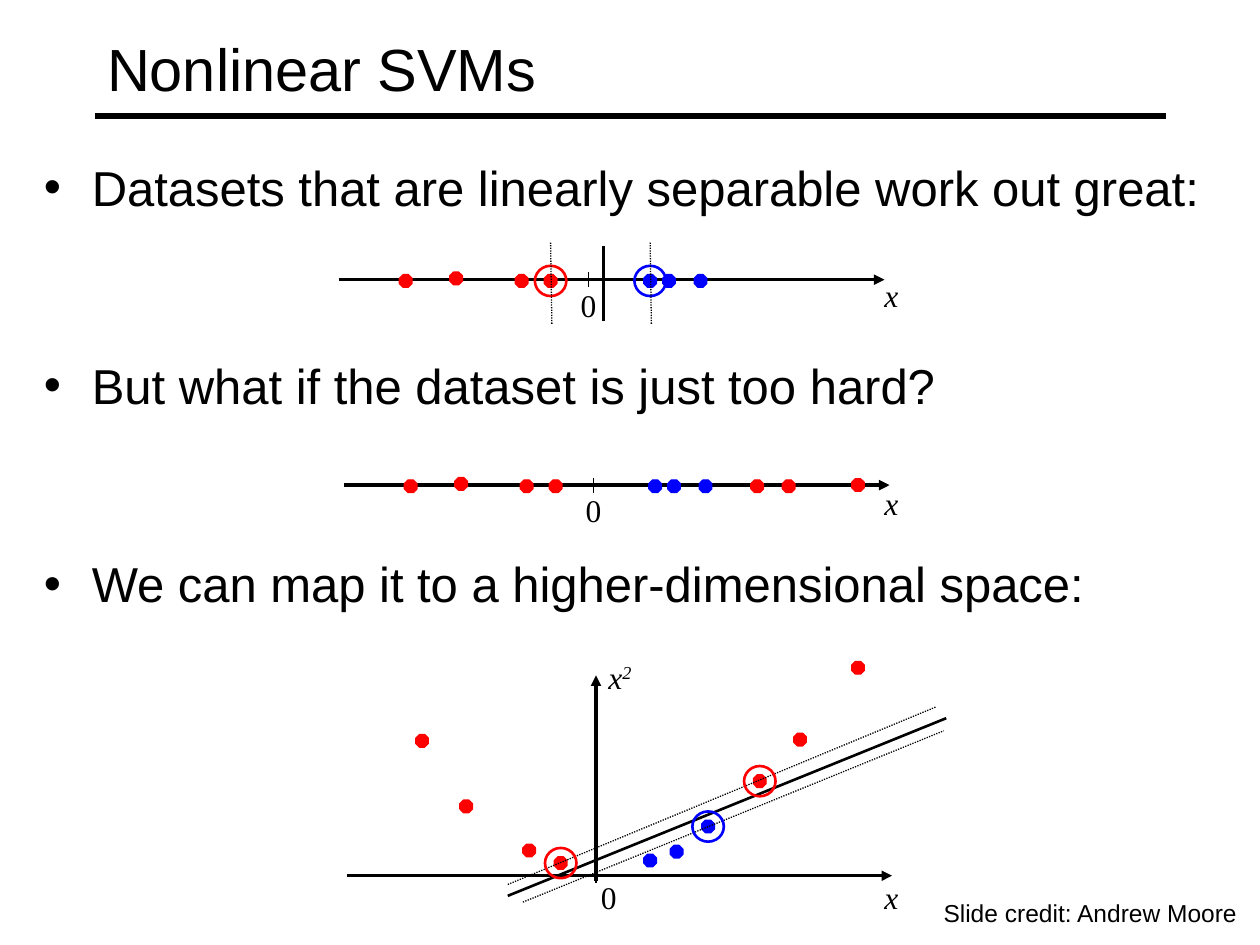
from lxml.etree import SubElement
from pptx import Presentation
from pptx.dml.color import RGBColor
from pptx.enum.dml import MSO_LINE
from pptx.enum.shapes import MSO_CONNECTOR, MSO_SHAPE
from pptx.enum.text import MSO_ANCHOR, PP_ALIGN
from pptx.oxml.ns import qn
from pptx.util import Inches, Pt

BLACK = RGBColor(0x00, 0x00, 0x00)
RED = RGBColor(0xFF, 0x00, 0x00)
BLUE = RGBColor(0x00, 0x00, 0xFF)

SLIDE_WIDTH, SLIDE_HEIGHT = Inches(10), Inches(7.5)
CELL = SLIDE_WIDTH / 100  # the slide is a grid of 100 columns by 75 rows

HEADING = dict(name="Arial", size=Pt(34))
BULLET = dict(name="Arial", size=Pt(28))
CREDIT = dict(name="Arial", size=Pt(14))
ORIGIN_LABEL = dict(name="Times New Roman", size=Pt(18))
AXIS_LABEL = dict(ORIGIN_LABEL, italic=True)

AXIS_LENGTH = 43.3
ORIGIN = 19.8  # columns from the start of an axis to its zero
DOT = 1
RING = (2.5, 2.4)

LEFT_REDS = [(5.3, -0.1), (9.3, 0.1), (14.5, -0.1), (16.8, -0.1)]
MIDDLE_BLUES = [(24.7, -0.1), (26.2, -0.1), (28.7, -0.1)]
RIGHT_REDS = [(32.8, -0.1), (35.3, -0.1), (40.8, 0)]
MAPPED_REDS = [(6, 10.7), (9.5, 5.5), (14.5, 2), (17, 1),
               (32.8, 7.5), (36, 10.8), (40.6, 16.5)]
MAPPED_BLUES = [(24.1, 1.2), (26.2, 1.9), (28.7, 3.9)]


def cells(*lengths):
    return [round(length * CELL) for length in lengths]


def set_font(font, formats):
    for attribute, value in formats.items():
        setattr(font, attribute, value)
    font.color.rgb = BLACK


def add_text(shapes, box, text, formats, wrap=True):
    frame = shapes.add_textbox(*cells(*box)).text_frame
    frame.word_wrap = wrap
    paragraph = frame.paragraphs[0]
    paragraph.text = text
    set_font(paragraph.font, formats)
    return paragraph


def add_line(shapes, start, end, width, dash=None, arrow=False):
    connector = shapes.add_connector(MSO_CONNECTOR.STRAIGHT, *cells(*start, *end))
    connector.line.width = Pt(width)
    connector.line.color.rgb = BLACK
    if dash:
        connector.line.dash_style = dash
    if arrow:
        SubElement(connector.line._get_or_add_ln(), qn("a:tailEnd"), type="triangle")
    SubElement(connector._element.spPr, qn("a:effectLst"))


class Plot:
    """A group whose points are (columns right, rows up) from its axis start."""

    def __init__(self, slide, left, base):
        self.shapes = slide.shapes.add_group_shape().shapes
        self.left, self.base = left, base
        self.line((0, 0), (AXIS_LENGTH, 0), 2, arrow=True)
        self.line((ORIGIN, 0.6), (ORIGIN, -0.6), 0.75)

    def place(self, point):
        return self.left + point[0], self.base - point[1]

    def line(self, start, end, width, **options):
        add_line(self.shapes, self.place(start), self.place(end), width, **options)

    def margin(self, start, end):
        self.line(start, end, 0.75, dash=MSO_LINE.ROUND_DOT)

    def marker(self, kind, point, size, color, line_width):
        x, y = self.place(point)
        width, height = size
        marker = self.shapes.add_shape(
            kind, *cells(x - width / 2, y - height / 2, width, height))
        marker.shadow.inherit = False
        marker.line.color.rgb = color
        marker.line.width = Pt(line_width)
        return marker

    def dots(self, points, color):
        for point in points:
            dot = self.marker(MSO_SHAPE.OCTAGON, point, (DOT, DOT), color, 0.75)
            dot.fill.solid()
            dot.fill.fore_color.rgb = color

    def support_vector(self, point, color):
        self.marker(MSO_SHAPE.OVAL, point, RING, color, 1.5).fill.background()

    def label(self, text, point, width, formats):
        return add_text(self.shapes, (*self.place(point), width, 4), text, formats)


def add_title(slide):
    title = slide.shapes.title
    title.left, title.top, title.width, title.height = cells(7.5, 0.8, 85, 9.2)
    title.text_frame.text = "Nonlinear SVMs"
    title.text_frame.vertical_anchor = MSO_ANCHOR.MIDDLE
    heading = title.text_frame.paragraphs[0]
    heading.alignment = PP_ALIGN.LEFT
    set_font(heading.font, HEADING)
    add_line(slide.shapes, (7.5, 9.2), (92.5, 9.2), 3)


def add_bullets(slide, box, points):
    frame = slide.shapes.add_textbox(*cells(*box)).text_frame
    frame.word_wrap = True
    frame.margin_top = Inches(0.08)
    for index, point in enumerate(points):
        paragraph = frame.add_paragraph() if index else frame.paragraphs[0]
        paragraph.text = point
        properties = paragraph._p.get_or_add_pPr()
        properties.set("marL", str(Inches(0.38)))
        properties.set("indent", str(-Inches(0.38)))
        if index:
            paragraph.space_before = Pt(79.6)
        SubElement(properties, qn("a:buFont"), typeface="Arial")
        SubElement(properties, qn("a:buChar"), char="•")
        set_font(paragraph.font, BULLET)


def add_separable_line(slide, left, base):
    plot = Plot(slide, left, base)
    plot.dots(LEFT_REDS, RED)
    plot.dots(MIDDLE_BLUES, BLUE)
    plot.line((21, 2.7), (21, -3.3), 1.5)
    for vector, color in ((LEFT_REDS[-1], RED), (MIDDLE_BLUES[0], BLUE)):
        plot.support_vector(vector, color)
        plot.margin((vector[0] + 0.1, -3.5), (vector[0], 3))
    plot.label("0", (18.2, 0), 3.8, ORIGIN_LABEL)
    plot.label("x", (42.3, 0.8), 5, AXIS_LABEL)


def add_hard_line(slide, left, base):
    plot = Plot(slide, left, base)
    plot.dots(LEFT_REDS + RIGHT_REDS, RED)
    plot.dots(MIDDLE_BLUES, BLUE)
    plot.label("0", (18.2, 0), 3.8, ORIGIN_LABEL)
    plot.label("x", (41.9, 0.6), 5, AXIS_LABEL)


def add_mapped_plane(slide, left, base):
    plot = Plot(slide, left, base)
    plot.dots(MAPPED_REDS, RED)
    plot.dots(MAPPED_BLUES, BLUE)
    plot.line((ORIGIN, -0.4), (ORIGIN, 15.9), 2, arrow=True)
    plot.line((12.8, -1.6), (47.6, 12.5), 1.5)
    plot.margin((12.8, -0.7), (46.8, 13.4))
    plot.margin((14, -2.1), (47.4, 11.5))
    plot.support_vector(MAPPED_REDS[3], RED)
    plot.support_vector(MAPPED_REDS[4], RED)
    plot.support_vector(MAPPED_BLUES[-1], BLUE)
    plot.label("0", (19.2, 0.3), 3.8, ORIGIN_LABEL)
    plot.label("x", (41.7, 0.3), 5, AXIS_LABEL)
    square = plot.label("x", (ORIGIN, 17.8), 5, AXIS_LABEL)
    exponent = square.add_run()
    exponent.text = "2"
    exponent._r.get_or_add_rPr().set("baseline", "30000")


def main():
    presentation = Presentation()
    presentation.slide_width, presentation.slide_height = SLIDE_WIDTH, SLIDE_HEIGHT
    slide = presentation.slides.add_slide(presentation.slide_layouts[5])
    add_title(slide)
    add_bullets(slide, (2.5, 11.7, 95.8, 55), [
        "Datasets that are linearly separable work out great:",
        "But what if the dataset is just too hard?",
        "We can map it to a higher-dimensional space:",
    ])
    add_separable_line(slide, 26.9, 22.2)
    add_hard_line(slide, 27.3, 38.5)
    add_mapped_plane(slide, 27.5, 69.5)
    add_text(slide.shapes, (73.9, 70.8, 25.3, 3.3),
             "Slide credit: Andrew Moore", CREDIT, wrap=False)
    presentation.save("out.pptx")


if __name__ == "__main__":
    main()
